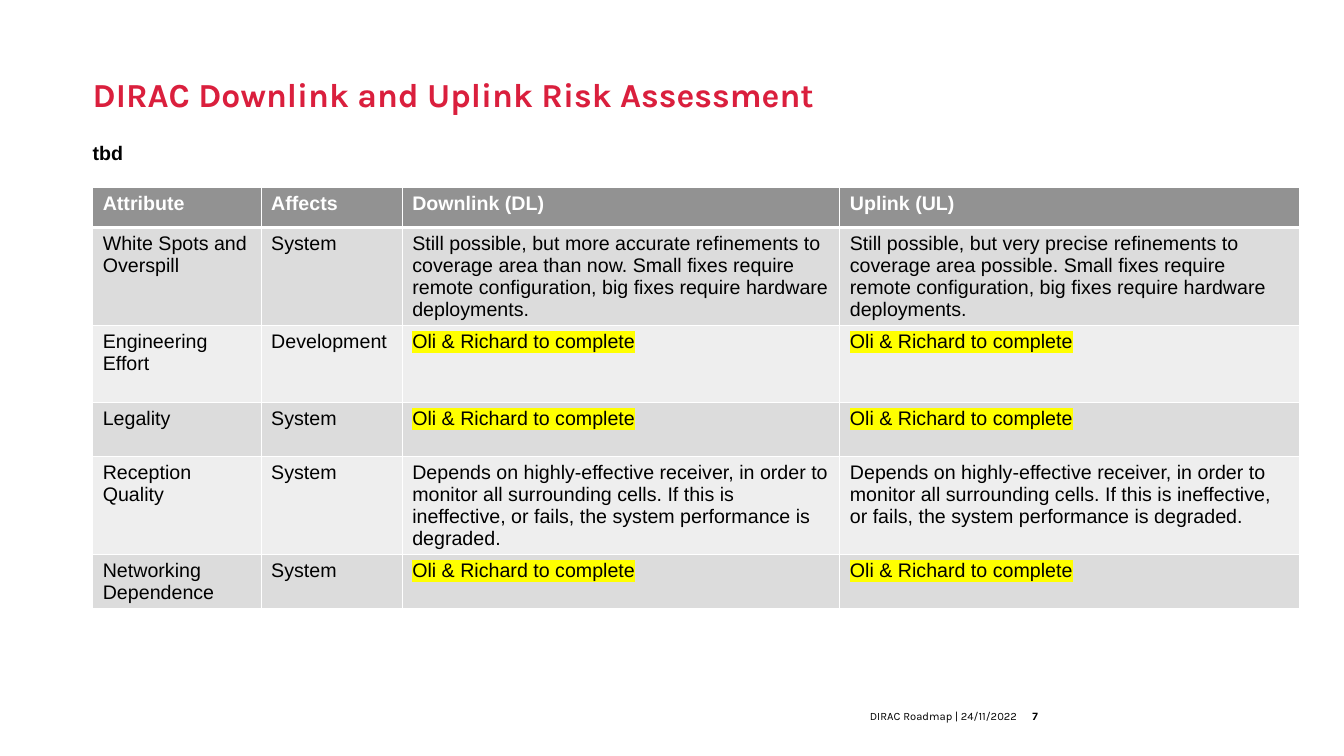
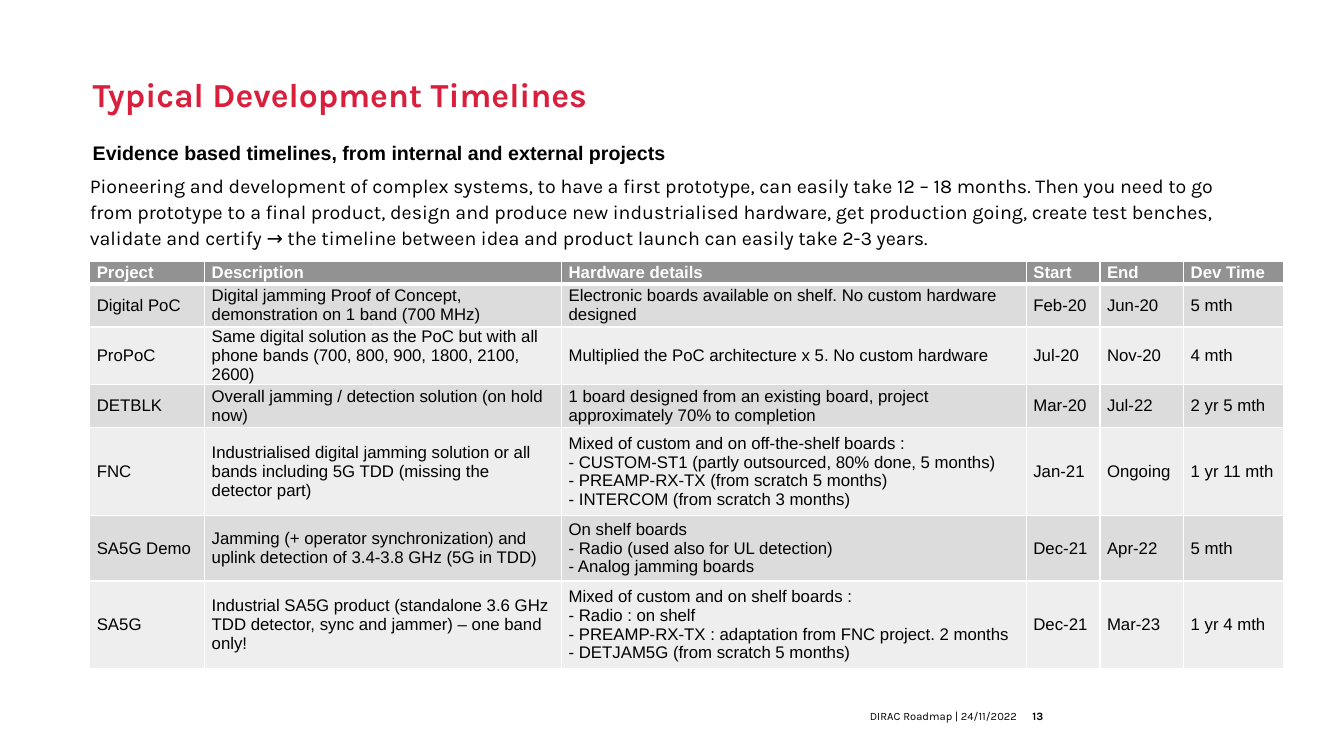
from lxml import etree
from pptx import Presentation
from pptx import util as u
from pptx.dml.color import RGBColor
from pptx.enum import text as t
from pptx.oxml.ns import qn

# Shared look
HUES = {"red": "DA1F3D", "ink": "000000", "white": "FFFFFF", "head": "929292",
        "odd": "DCDCDC", "even": "EEEEEE", "mark": "FFFF00"}
SANS, KARLA = "Arial", "Karla"
WIDE, HIGH = u.Inches(13.33), u.Inches(7.5)
LEFT, EDGE = 6.9, 6.68
FOOT = "DIRAC Roadmap | 24/11/2022"
TODO = "Oli & Richard to complete"

# Slide content
RISKS = [
    ["Attribute", "Affects", "Downlink (DL)", "Uplink (UL)"],
    ["White Spots and Overspill", "System",
     "Still possible, but more accurate refinements to coverage area than now. "
     "Small fixes require remote configuration, big fixes require hardware deployments.",
     "Still possible, but very precise refinements to coverage area possible. "
     "Small fixes require remote configuration, big fixes require hardware deployments."],
    ["Engineering Effort", "Development", TODO, TODO],
    ["Legality", "System", TODO, TODO],
    ["Reception Quality", "System"] + [
        "Depends on highly-effective receiver, in order to monitor all surrounding cells. "
        "If this is ineffective, or fails, the system performance is degraded."] * 2,
    ["Networking Dependence", "System", TODO, TODO],
]
INTRO = ("Pioneering and development of complex systems, to have a first prototype, "
         "can easily take 12 – 18 months. Then you need to go from prototype to a final "
         "product, design and produce new industrialised hardware, get production going, "
         "create test benches, validate and certify → the timeline between idea and "
         "product launch can easily take 2-3 years.")
PLANS = [
    ["Project", "Description", "Hardware details", "Start", "End", "Dev Time"],
    ["Digital PoC", "Digital jamming Proof of Concept, demonstration on 1 band (700 MHz)",
     "Electronic boards available on shelf. No custom hardware designed",
     "Feb-20", "Jun-20", "5 mth"],
    ["ProPoC", "Same digital solution as the PoC but with all phone bands "
     "(700, 800, 900, 1800, 2100, 2600)",
     "Multiplied the PoC architecture x 5. No custom hardware",
     "Jul-20", "Nov-20", "4 mth"],
    ["DETBLK", "Overall jamming / detection solution (on hold now)",
     "1 board designed from an existing board, project approximately 70% to completion",
     "Mar-20", "Jul-22", "2 yr 5 mth"],
    ["FNC", "Industrialised digital jamming solution or all bands including 5G TDD "
     "(missing the detector part)",
     "Mixed of custom and on off-the-shelf boards :\n"
     "- CUSTOM-ST1 (partly outsourced, 80% done, 5 months)\n"
     "- PREAMP-RX-TX (from scratch 5 months)\n"
     "- INTERCOM (from scratch 3 months)",
     "Jan-21", "Ongoing", "1 yr 11 mth"],
    ["SA5G Demo", "Jamming (+ operator synchronization) and uplink detection of "
     "3.4-3.8 GHz (5G in TDD)",
     "On shelf boards\n- Radio (used also for UL detection)\n- Analog jamming boards",
     "Dec-21", "Apr-22", "5 mth"],
    ["SA5G", "Industrial SA5G product (standalone 3.6 GHz TDD detector, sync and "
     "jammer) – one band only!",
     "Mixed of custom and on shelf boards :\n- Radio : on shelf\n"
     "- PREAMP-RX-TX : adaptation from FNC project. 2 months\n"
     "- DETJAM5G (from scratch 5 months)",
     "Dec-21", "Mar-23", "1 yr 4 mth"],
]


# Grid: lengths are hundredths of the slide's width or height
def col(share):
    return round(WIDE * share / 100)


def row(share):
    return round(HIGH * share / 100)


def grid(x, y, w, h):
    return col(x), row(y), col(w), row(h)


def hue(name):
    return RGBColor.from_string(HUES[name])


# Text
def write(para, words, size, face, ink="ink", bold=False, mark=None):
    for i, line in enumerate(words.split("\n")):
        if i:
            para.add_line_break()
        run = para.add_run()
        run.text = line
        font = run.font
        font.size, font.bold = u.Pt(size), bold
        font.color.rgb = hue(ink)
        if mark:
            glow = etree.SubElement(run._r.get_or_add_rPr(), qn("a:highlight"))
            etree.SubElement(glow, qn("a:srgbClr"), val=HUES[mark])
        font.name = face


def setup(shape, box, anchor, base=0):
    shape.left, shape.top, shape.width, shape.height = grid(*box)
    frame = shape.text_frame
    frame.word_wrap, frame.auto_size = True, t.MSO_AUTO_SIZE.NONE
    frame.vertical_anchor = anchor
    frame.margin_left = frame.margin_right = frame.margin_top = 0
    frame.margin_bottom = u.Inches(base)
    para = frame.paragraphs[0]
    para.alignment = t.PP_ALIGN.LEFT
    para.space_before = u.Pt(0)
    return para


def body(shape, box, words, face, bold=False, anchor=t.MSO_ANCHOR.TOP, pitch=1.0):
    para = setup(shape, box, anchor)
    para.line_spacing = pitch
    props = para._p.get_or_add_pPr()
    props.set("marL", "0")
    props.set("indent", "0")
    etree.SubElement(props, qn("a:buNone"))
    write(para, words, 14, face, bold=bold)


def small(slide, x, w, words, bold=False, align=t.PP_ALIGN.LEFT):
    box = (x, 92.8, w, 3.6)
    para = setup(slide.shapes.add_textbox(*grid(*box)), box, t.MSO_ANCHOR.BOTTOM, 0.06)
    para.alignment = align
    write(para, words, 8, KARLA, bold=bold)


# Title, subtitle and footer of every slide
def start(deck, layout, title, sub, page):
    slide = deck.slides.add_slide(deck.slide_layouts[layout])
    para = setup(slide.shapes.title, (LEFT, 6.93, 59.04, 11.07), t.MSO_ANCHOR.MIDDLE)
    write(para, title, 24, KARLA, "red", True)
    body(slide.placeholders[1], (LEFT, 18.53, 89.8, 3.2), sub, SANS, True,
         t.MSO_ANCHOR.MIDDLE)
    small(slide, 41.71, 33.98, FOOT, align=t.PP_ALIGN.RIGHT)
    small(slide, 76.82, 2.33, page, bold=True)
    return slide


# Tables
def edges(cell, top, base):
    props = cell._tc.get_or_add_tcPr()
    for side, wide in (("L", 1), ("R", 1), ("T", top), ("B", base)):
        line = etree.SubElement(props, qn("a:ln" + side), w=str(u.Pt(wide)))
        fill = etree.SubElement(line, qn("a:solidFill"))
        etree.SubElement(fill, qn("a:srgbClr"), val=HUES["white"])


def table(slide, x, y, cols, rows, data, size, tight=False):
    box = grid(x, y, sum(cols), sum(rows))
    tab = slide.shapes.add_table(len(rows), len(cols), *box).table
    tab.horz_banding = False
    for c, wide in enumerate(cols):
        tab.columns[c].width = col(wide)
    for r, high in enumerate(rows):
        tab.rows[r].height = row(high)
        head = r == 0
        tint = "head" if head else "odd" if r % 2 else "even"
        for c, words in enumerate(data[r]):
            cell = tab.cell(r, c)
            edges(cell, 3 if r == 1 else 1, 3 if head else 1)
            cell.fill.solid()
            cell.fill.fore_color.rgb = hue(tint)
            if tight:
                cell.margin_left = cell.margin_right = u.Inches(0.07)
                cell.margin_top = cell.margin_bottom = 0
                cell.vertical_anchor = t.MSO_ANCHOR.MIDDLE
            write(cell.text_frame.paragraphs[0], words, size, SANS,
                  "white" if head else "ink", head, "mark" if words == TODO else None)


def main():
    deck = Presentation()
    deck.slide_width, deck.slide_height = WIDE, HIGH

    # Risk assessment
    slide = start(deck, 1, "DIRAC Downlink and Uplink Risk Assessment", "tbd", "7")
    table(slide, LEFT, 24.8, [12.53, 10.5, 32.56, 34.21],
          [5.3, 12.9, 10.2, 7.1, 12.9, 7.1], RISKS, 14)

    # Development timelines
    slide = start(deck, 3, "Typical Development Timelines",
                  "Evidence based timelines, from internal and external projects", "13")
    body(slide.placeholders[2], (EDGE, 22.67, 86.27, 60.93), INTRO, KARLA, pitch=1.1)
    table(slide, EDGE, 34.53, [8.55, 26.56, 34.58, 5.48, 6.23, 7.43],
          [3, 5.73, 7.6, 5.73, 11.6, 8.67, 11.6], PLANS, 12, tight=True)

    deck.save("out.pptx")


if __name__ == "__main__":
    main()
